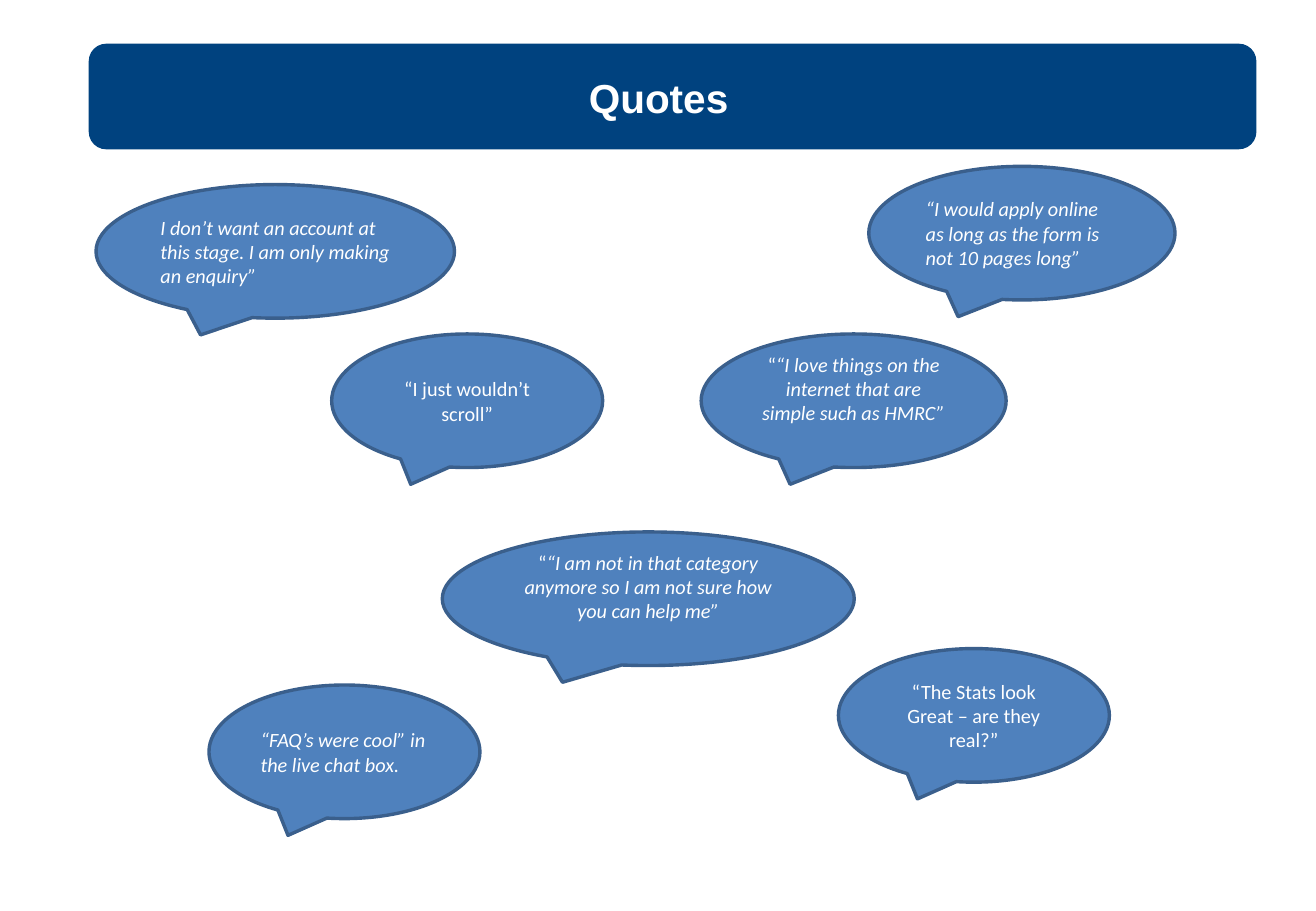
import dataclasses

import pptx
import pptx.dml.color
import pptx.enum.shapes
import pptx.enum.text
import pptx.shapes.autoshape
import pptx.slide
import pptx.text.text
import pptx.util

Inches = pptx.util.Inches
Pt = pptx.util.Pt
RGB = pptx.dml.color.RGBColor
Align = pptx.enum.text.PP_ALIGN
Anchor = pptx.enum.text.MSO_ANCHOR
Kind = pptx.enum.shapes.MSO_SHAPE


@dataclasses.dataclass(frozen=True)
class Theme:
    navy: RGB = RGB(0x00, 0x42, 0x7F)
    blue: RGB = RGB(0x4F, 0x81, 0xBD)
    edge: RGB = RGB(0x3A, 0x5F, 0x8C)
    white: RGB = RGB(0xFF, 0xFF, 0xFF)
    head: str = "Arial"
    body: str = "Calibri"
    large: float = 24
    small: float = 12
    line: float = 2


@dataclasses.dataclass(frozen=True)
class Box:
    left: float
    top: float
    width: float
    height: float = 1.1


@dataclasses.dataclass(frozen=True)
class Quote:
    box: Box
    plain: str = ""
    slanted: str = ""
    align: Align = Align.CENTER
    bottom: float = 0.05


THEME = Theme()
BANNER = Box(0.73, 0.36, 9.61, 0.87)
TITLE = Box(1.09, 0.52, 8.66, 0.63)
RAISED = 0.25
QUOTES = [
    Quote(Box(2.73, 2.75, 2.23), plain="“I just wouldn’t scroll”"),
    Quote(Box(6.9, 5.34, 2.23), plain="“The Stats look Great – are they real?”"),
    Quote(
        Box(5.77, 2.75, 2.51),
        "“",
        "“I love things on the internet that are simple such as HMRC”",
        bottom=RAISED,
    ),
    Quote(
        Box(3.64, 4.38, 3.39),
        "“",
        "“I am not in that category anymore so I am not sure how you can help me”",
        bottom=RAISED,
    ),
    Quote(
        Box(1.72, 5.64, 2.23),
        slanted="“FAQ’s were cool” in the live chat box.",
        align=Align.LEFT,
    ),
    Quote(
        Box(7.15, 1.37, 2.52),
        slanted="“I would apply online as long as the form is not 10 pages long”",
        align=Align.LEFT,
    ),
    Quote(
        Box(0.79, 1.52, 2.95),
        slanted="I don’t want an account at this stage. I am only making an enquiry”",
        align=Align.LEFT,
    ),
]


def apply(target: object, values: dict[str, object]) -> None:
    for name, value in values.items():
        setattr(target, name, value)


def place(box: Box) -> dict[str, pptx.util.Length]:
    return {name: Inches(size) for name, size in dataclasses.asdict(box).items()}


def style(font: pptx.text.text.Font, values: dict[str, object]) -> None:
    apply(font, values)
    font.color.rgb = THEME.white


def add_shape(
    slide: pptx.slide.Slide, kind: Kind, box: Box, fill: RGB
) -> pptx.shapes.autoshape.Shape:
    shape = slide.shapes.add_shape(kind, **place(box))
    shape.shadow.inherit = False
    shape.fill.solid()
    shape.fill.fore_color.rgb = fill
    return shape


def draw_title(slide: pptx.slide.Slide, text: str) -> None:
    title = slide.shapes.title
    banner = add_shape(slide, Kind.ROUNDED_RECTANGLE, BANNER, THEME.navy)
    banner.line.fill.background()
    title.element.addprevious(banner.element)
    apply(title, place(TITLE))
    frame = title.text_frame
    frame.text = text
    apply(
        frame,
        {
            "word_wrap": True,
            "vertical_anchor": Anchor.TOP,
            "margin_top": Inches(0.08),
            "auto_size": pptx.enum.text.MSO_AUTO_SIZE.NONE,
        },
    )
    part = frame.paragraphs[0]
    part.alignment = Align.CENTER
    style(
        part.runs[0].font,
        {"name": THEME.head, "size": Pt(THEME.large), "bold": True},
    )


def draw_quote(slide: pptx.slide.Slide, quote: Quote) -> None:
    shape = add_shape(slide, Kind.OVAL_CALLOUT, quote.box, THEME.blue)
    shape.line.color.rgb = THEME.edge
    shape.line.width = Pt(THEME.line)
    frame = shape.text_frame
    apply(
        frame,
        {
            "word_wrap": True,
            "vertical_anchor": Anchor.MIDDLE,
            "margin_bottom": Inches(quote.bottom),
        },
    )
    part = frame.paragraphs[0]
    part.alignment = quote.align
    for text, slant in ((quote.plain, False), (quote.slanted, True)):
        if text:
            run = part.add_run()
            run.text = text
            style(
                run.font,
                {"name": THEME.body, "size": Pt(THEME.small), "italic": slant},
            )


def main() -> None:
    deck = pptx.Presentation()
    apply(deck, {"slide_width": Inches(10.83), "slide_height": Inches(7.5)})
    slide = deck.slides.add_slide(deck.slide_layouts[5])
    draw_title(slide, "Quotes")
    for quote in QUOTES:
        draw_quote(slide, quote)
    deck.save("out.pptx")


if __name__ == "__main__":
    main()
